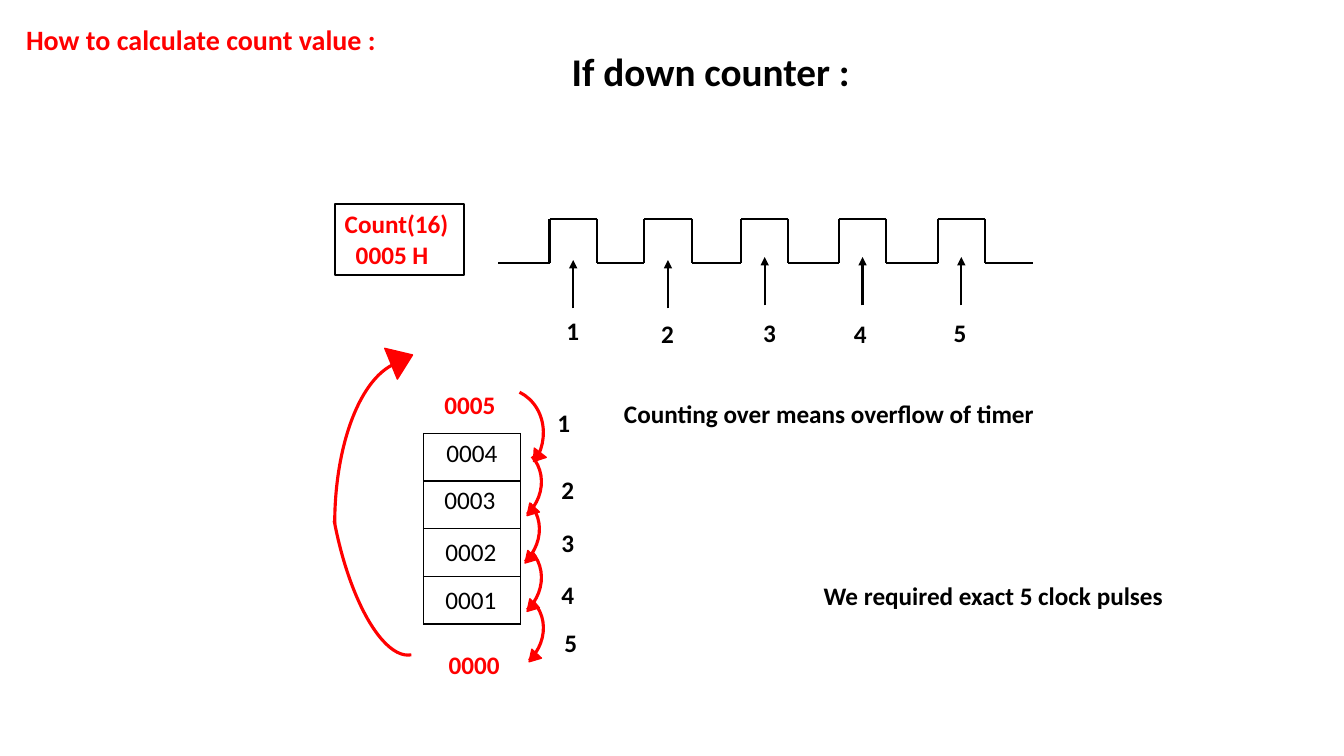
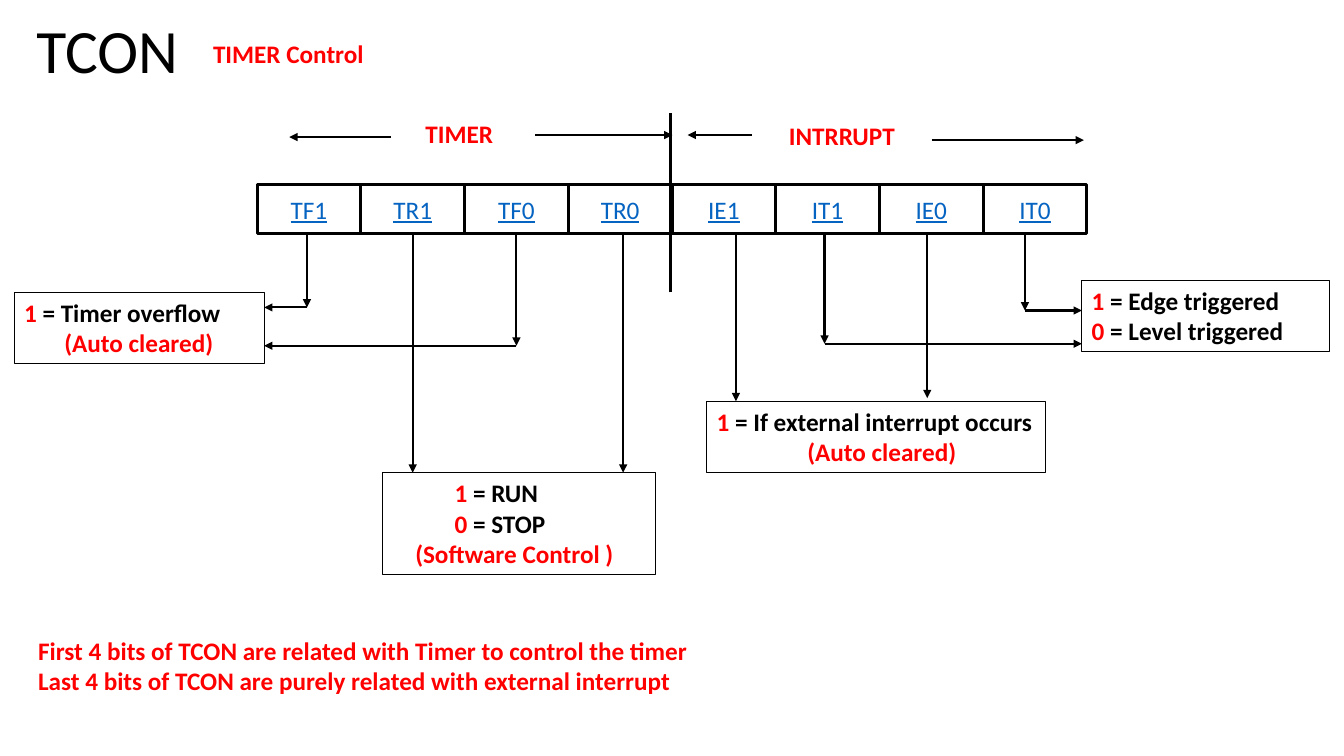
from dataclasses import dataclass

from lxml.etree import SubElement
from pptx import Presentation
from pptx.dml.color import RGBColor
from pptx.enum.shapes import MSO_CONNECTOR as Link, MSO_SHAPE as Shape
from pptx.enum.text import MSO_ANCHOR as Anchor, MSO_AUTO_SIZE as Fit, PP_ALIGN as Align
from pptx.oxml.ns import qn
from pptx.util import Inches, Pt


@dataclass(frozen=True)
class Theme:
    font: str = "Calibri"
    black: str = "000000"
    red: str = "FF0000"
    blue: str = "0563C1"
    body: int = 18
    head: int = 20
    title: int = 28
    big: int = 44
    thin: float = 0.75
    line: float = 1.5
    thick: float = 2.25


T = Theme()

# Slide 1 content: pulses are (rising edge x, arrow foot y, label x, label y)
PULSES = [(5.45, 3.06, 5.52, 3.08), (6.39, 3.06, 6.46, 3.11), (7.35, 3.03, 7.47, 3.1),
          (8.32, 3.03, 8.37, 3.11), (9.3, 3.03, 9.36, 3.1)]
HIGH, LOW, WIDE, RISE = 2.17, 2.61, 0.47, 0.48
# Count column: first value in the table, the rest as labels over its rows
FIRST, ROWS = "0004", 4
COUNTS = [("0003", 4.23, 4.76), ("0002", 4.24, 5.27), ("0001", 4.24, 5.75)]
# Steps after the first: (arc x, arc y, label x, label y)
STEPS = [(4.55, 4.38, 5.47, 4.66), (4.53, 4.85, 5.47, 5.18),
         (4.55, 5.33, 5.47, 5.7), (4.57, 5.83, 5.5, 6.17)]
# Arcs and arrowheads: (left, top, width, height, rotation)
ARCS = [(4.49, 3.84, 0.89, 0.98, 26.4), (3.3, 3.57, 1.03, 2.95, 169.7),
        (2.44, 4.46, 3.23, 1.47, 270)]
HEADS = [(5.25, 4.48, 0.15, 0.11, 217.9), (3.82, 3.45, 0.33, 0.23, 67.7)]
ARCS += [(x, y, 0.8, 0.87, 48.7) for x, y, _, _ in STEPS]
HEADS += [(x + 0.65, y + 0.64, 0.13, 0.11, 222.9) for x, y, _, _ in STEPS]
COUNT = [(0, [("Count(16)", T.red)]), (0.11, [("0005 H", T.red)])]
NOTES = [("0005", T.red, (4.31, 3.81, 0.71, 0.4)),
         ("0000", T.red, (4.35, 6.39, 0.71, 0.4)),
         ("1", T.black, (5.43, 3.99, 0.58, 0.4)),
         ("Counting over means overflow of timer", T.black, (6.09, 3.9, 4.35, 0.4)),
         ("We required exact 5 clock pulses", T.black, (8.07, 5.71, 4.35, 0.4))]

# Slide 2 content: bits are (name, shift from cell centre, drop end y, side x or None)
BITS = [("TF1", -0.02, 3.05, 2.62), ("TR1", 0, 4.69, None),
        ("TF0", 0, 3.43, 2.62), ("TR0", 0.03, 4.69, None),
        ("IE1", 0.12, 3.98, None), ("IT1", -0.03, 3.41, 10.73),
        ("IE0", -0.04, 3.95, None), ("IT0", -0.1, 3.08, 10.73)]
ROW_X, ROW_Y, ROW_W, TALL = 2.55, 1.83, 8.23, 0.49
CELL = ROW_W / len(BITS)
SPANS = [(3.88, 2.87, 1.36), (5.31, 6.67, 1.34), (7.46, 6.82, 1.34), (9.24, 10.75, 1.39)]
LABELS = [("TIMER Control", (1.94, 0.33, 1.84, 0.4)),
          ("TIMER", (3.84, 1.12, 1.43, 0.54)),
          ("INTRRUPT", (7.32, 1.14, 2.06, 0.54))]
# Boxes: place, then lines of (indent, runs)
BOXES = [
    ((0.14, 2.9, 2.48, 0.71), [
        (0, [("1", T.red), (" = Timer overflow", T.black)]),
        (0.4, [("(Auto cleared)", T.red)])]),
    ((3.79, 4.69, 2.71, 1.01), [
        (0.62, [("1", T.red), (" = RUN", T.black)]),
        (0.62, [("0 ", T.red), ("= STOP", T.black)]),
        (0.23, [("(Software Control )", T.red)])]),
    ((7.01, 3.98, 3.36, 0.71), [
        (0, [("1", T.red), (" = If external interrupt occurs", T.black)]),
        (0.9, [("(Auto cleared)", T.red)])]),
    ((10.73, 2.78, 2.46, 0.71), [
        (0, [("1", T.red), (" = Edge triggered", T.black)]),
        (0, [("0 ", T.red), ("= Level triggered", T.black)])]),
]
SUMS = ["First 4 bits of TCON are related with Timer to control the timer",
        "Last 4 bits of TCON are purely related with external interrupt"]


# Shared helpers
def rgb(code):
    return RGBColor.from_string(code)


def style(run, color, size=T.body, bold=True):
    font = run.font
    font.name, font.size, font.bold = T.font, Pt(size), bold
    font.color.rgb = rgb(color)


def fill_text(frame, lines, size=T.body, bold=True, align=Align.LEFT, anchor=Anchor.TOP):
    frame.word_wrap = True
    frame.vertical_anchor = anchor
    frame.text = "\n".join("".join(t for t, _ in runs) for _, runs in lines)
    for para, (indent, runs) in zip(frame.paragraphs, lines):
        para.alignment = align
        if indent:
            para._p.get_or_add_pPr().set("marL", str(Inches(indent)))
        para.runs[0].text = runs[0][0]
        for text, _ in runs[1:]:
            para.add_run().text = text
        for run, (_, color) in zip(para.runs, runs):
            style(run, color, size, bold)


def one(text, color):
    return [(0, [(text, color)])]


def add_title(deck, text, place, size, bold, gap):
    slide = deck.slides.add_slide(deck.slide_layouts[5])
    title = slide.shapes.title
    title.left, title.top, title.width, title.height = map(Inches, place)
    fill_text(title.text_frame, one(text, T.black), size, bold, anchor=Anchor.MIDDLE)
    title.text_frame.auto_size = Fit.NONE
    title.text_frame.paragraphs[0].line_spacing = gap
    return slide


def add_text(slide, place, lines, **look):
    box = slide.shapes.add_textbox(*map(Inches, place))
    fill_text(box.text_frame, lines, **look)


def add_form(slide, kind, place, color, width, solid=False):
    form = slide.shapes.add_shape(kind, *map(Inches, place[:4]))
    form.shadow.inherit = False
    form.line.color.rgb = rgb(color)
    form.line.width = Pt(width)
    if solid:
        form.fill.solid()
        form.fill.fore_color.rgb = rgb(color)
    else:
        form.fill.background()
    if len(place) == 5:
        form.rotation = place[4]
    return form


def add_line(slide, x1, y1, x2, y2, width=T.line, arrow=False):
    line = slide.shapes.add_connector(Link.STRAIGHT, *map(Inches, (x1, y1, x2, y2)))
    line.line.color.rgb = rgb(T.black)
    line.line.width = Pt(width)
    if arrow:
        SubElement(line.line._get_or_add_ln(), qn("a:tailEnd"), type="triangle")
    SubElement(line._element.spPr, qn("a:effectLst"))
    return line


def add_edges(cell):
    props = cell._tc.get_or_add_tcPr()
    for spot, side in enumerate(("lnL", "lnR", "lnT", "lnB")):
        edge = props.makeelement(qn("a:" + side), {"w": str(Pt(1))})
        props.insert(spot, edge)
        fill = SubElement(edge, qn("a:solidFill"))
        SubElement(fill, qn("a:srgbClr"), val=T.black)


def build_count(deck):
    slide = add_title(deck, "If down counter :", (5.57, 0.42, 4.15, 0.57), T.title, True, 1.0)
    add_text(slide, (0.16, 0.17, 3.82, 0.44),
             one("How to calculate count value :", T.red), size=T.head)
    box = add_form(slide, Shape.RECTANGLE, (3.32, 2.02, 1.28, 0.71), T.black, T.line)
    fill_text(box.text_frame, COUNT)

    # Clock wave with numbered pulses
    start = 4.94
    for num, (rise, foot, left, top) in enumerate(PULSES, 1):
        fall, mid = rise + WIDE, rise + WIDE / 2
        add_line(slide, start, LOW, rise, LOW)
        add_line(slide, rise, LOW, rise, HIGH)
        add_line(slide, rise, HIGH, fall, HIGH)
        add_line(slide, fall, HIGH, fall, LOW)
        add_line(slide, mid, foot, mid, foot - RISE, arrow=True)
        add_text(slide, (left, top, 0.58, 0.4), one(str(num), T.black))
        start = fall
    add_line(slide, start, LOW, 10.25, LOW)

    # Column of count values
    frame = slide.shapes.add_table(ROWS, 1, *map(Inches, (4.2, 4.3, 0.96, 1.89)))
    for row in range(ROWS):
        cell = frame.table.cell(row, 0)
        cell.fill.background()
        add_edges(cell)
    fill_text(frame.table.cell(0, 0).text_frame, one(FIRST, T.black),
              bold=False, align=Align.CENTER)
    for text, left, top in COUNTS:
        add_text(slide, (left, top, 0.86, 0.4), one(text, T.black),
                 bold=False, align=Align.CENTER)

    # Curved steps and the return to the start value
    for place in ARCS:
        arc = add_form(slide, Shape.ARC, place, T.red, T.thick)
        arc.adjustments[0], arc.adjustments[1] = 162, 214.15
    for place in HEADS:
        add_form(slide, Shape.ISOSCELES_TRIANGLE, place, T.red, 1, solid=True)
    for num, (_, _, left, top) in enumerate(STEPS, 2):
        add_text(slide, (left, top, 0.58, 0.4), one(str(num), T.black))
    for text, color, place in NOTES:
        add_text(slide, place, one(text, color))


def build_tcon(deck):
    slide = add_title(deck, "TCON", (0.26, 0.14, 1.79, 0.78), T.big, False, 0.9)
    for text, place in LABELS:
        add_text(slide, place, one(text, T.red), align=Align.CENTER)
    for x1, x2, y in SPANS:
        add_line(slide, x1, y, x2, y, arrow=True)
    add_line(slide, 6.65, 2.9, 6.65, 1.12, T.thick)

    # Register bits and their arrows
    for col, (name, shift, end, side) in enumerate(BITS):
        left = ROW_X + col * CELL
        cell = add_form(slide, Shape.RECTANGLE, (left, ROW_Y, CELL, TALL), T.black, T.thick)
        fill_text(cell.text_frame, one(name, T.blue), bold=False,
                  align=Align.CENTER, anchor=Anchor.MIDDLE)
        cell.text_frame.paragraphs[0].runs[0].font.underline = True
        mid = left + CELL / 2 + shift
        drop = add_line(slide, mid, ROW_Y + TALL, mid, end, arrow=True)
        if not shift:
            drop.begin_connect(cell, 2)
        if side:
            add_line(slide, mid, end, side, end, arrow=True)

    # Meaning of each bit
    for place, lines in BOXES:
        box = add_form(slide, Shape.RECTANGLE, place, T.black, T.thin)
        fill_text(box.text_frame, lines)
    add_text(slide, (0.28, 6.25, 10.74, 0.71), [(0, [(text, T.red)]) for text in SUMS])


def main():
    deck = Presentation()
    deck.slide_width, deck.slide_height = Inches(13.33), Inches(7.5)
    build_count(deck)
    build_tcon(deck)
    deck.save("out.pptx")


if __name__ == "__main__":
    main()
